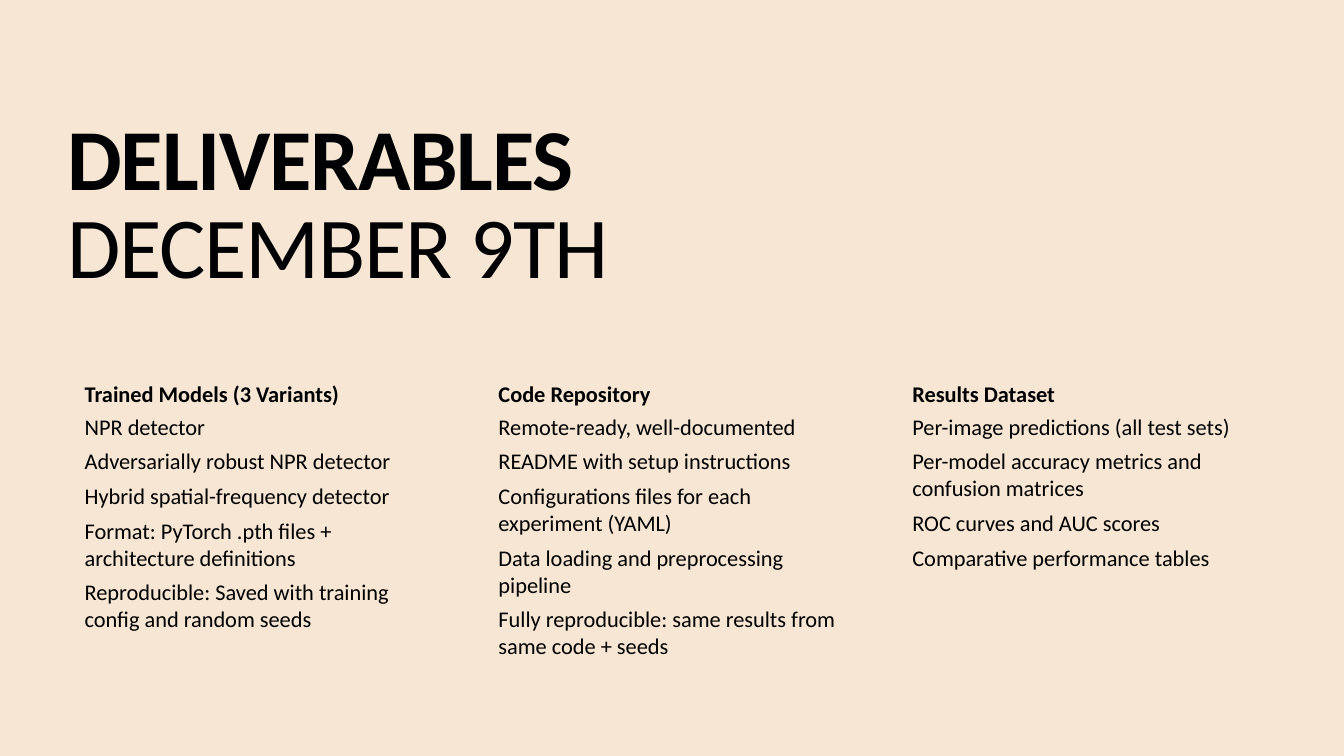
from pptx import Presentation
from pptx.dml.color import RGBColor
from pptx.enum.text import MSO_ANCHOR as Anchor
from pptx.util import Pt

BACKGROUND = RGBColor(0xF7, 0xE6, 0xD3)
INK = RGBColor(0x00, 0x01, 0x02)
BLACK = RGBColor(0x00, 0x00, 0x00)
FONT = "Calibri"

TITLE_LINES = [("DELIVERABLES", True), ("DECEMBER 9TH", False)]
COLUMNS = [
    ("Trained Models (3 Variants)", [
        "NPR detector",
        "Adversarially robust NPR detector",
        "Hybrid spatial-frequency detector",
        "Format: PyTorch .pth files + architecture definitions",
        "Reproducible: Saved with training config and random seeds",
    ]),
    ("Code Repository", [
        "Remote-ready, well-documented",
        "README with setup instructions",
        "Configurations files for each experiment (YAML)",
        "Data loading and preprocessing pipeline",
        "Fully reproducible: same results from same code + seeds",
    ]),
    ("Results Dataset", [
        "Per-image predictions (all test sets)",
        "Per-model accuracy metrics and confusion matrices",
        "ROC curves and AUC scores",
        "Comparative performance tables",
    ]),
]


def add_text_frame(page, left, top, width, height, insets):
    box = page.shapes.add_textbox(Pt(left), Pt(top), Pt(width), Pt(height))
    frame = box.text_frame
    frame.word_wrap = True
    (frame.margin_left, frame.margin_top,
     frame.margin_right, frame.margin_bottom) = [Pt(inset) for inset in insets]
    return frame


def style_font(font, size, color):
    font.name = FONT
    font.size = Pt(size)
    font.color.rgb = color


def add_title(page, left, top, width, height):
    frame = add_text_frame(page, left, top, width, height, (0, 0, 0, 0))
    frame.vertical_anchor = Anchor.BOTTOM
    para = frame.paragraphs[0]
    para.line_spacing = 0.85
    for index, (text, bold) in enumerate(TITLE_LINES):
        if index:
            para.add_line_break()
        span = para.add_run()
        span.text = text
        span.font.bold = bold
        # Tightened letter spacing, in hundredths of a point
        span._r.get_or_add_rPr().set("spc", "-90")
    style_font(para.font, 62, INK)


def add_column(page, left, top, width, height, heading, items):
    heading_height = 23.4
    insets = (10.8, 1.44, 1.44, 1.44)

    # Heading
    frame = add_text_frame(page, left, top, width, heading_height, insets)
    para = frame.paragraphs[0]
    para.text = heading
    style_font(para.font, 16, INK)
    para.font.bold = True

    # Items
    frame = add_text_frame(page, left, top + heading_height, width,
                           height - heading_height, insets)
    for index, item in enumerate(items):
        para = frame.add_paragraph() if index else frame.paragraphs[0]
        para.text = item
        para.space_after = Pt(5.6)
        style_font(para.font, 16, BLACK if index else INK)


def add_columns(page, left, top, width, height):
    column_width = 268.6
    pitch = (width - column_width) / (len(COLUMNS) - 1)
    for index, (heading, items) in enumerate(COLUMNS):
        add_column(page, left + index * pitch, top, column_width, height,
                   heading, items)


def main():
    deck = Presentation()
    deck.slide_width, deck.slide_height = Pt(960), Pt(540)
    page = deck.slides.add_slide(deck.slide_layouts[6])
    page.background.fill.solid()
    page.background.fill.fore_color.rgb = BACKGROUND
    add_title(page, 48.2, 49.7, 861.8, 162)
    add_columns(page, 49.7, 270, 859.8, 199.4)
    deck.save("out.pptx")


if __name__ == "__main__":
    main()
